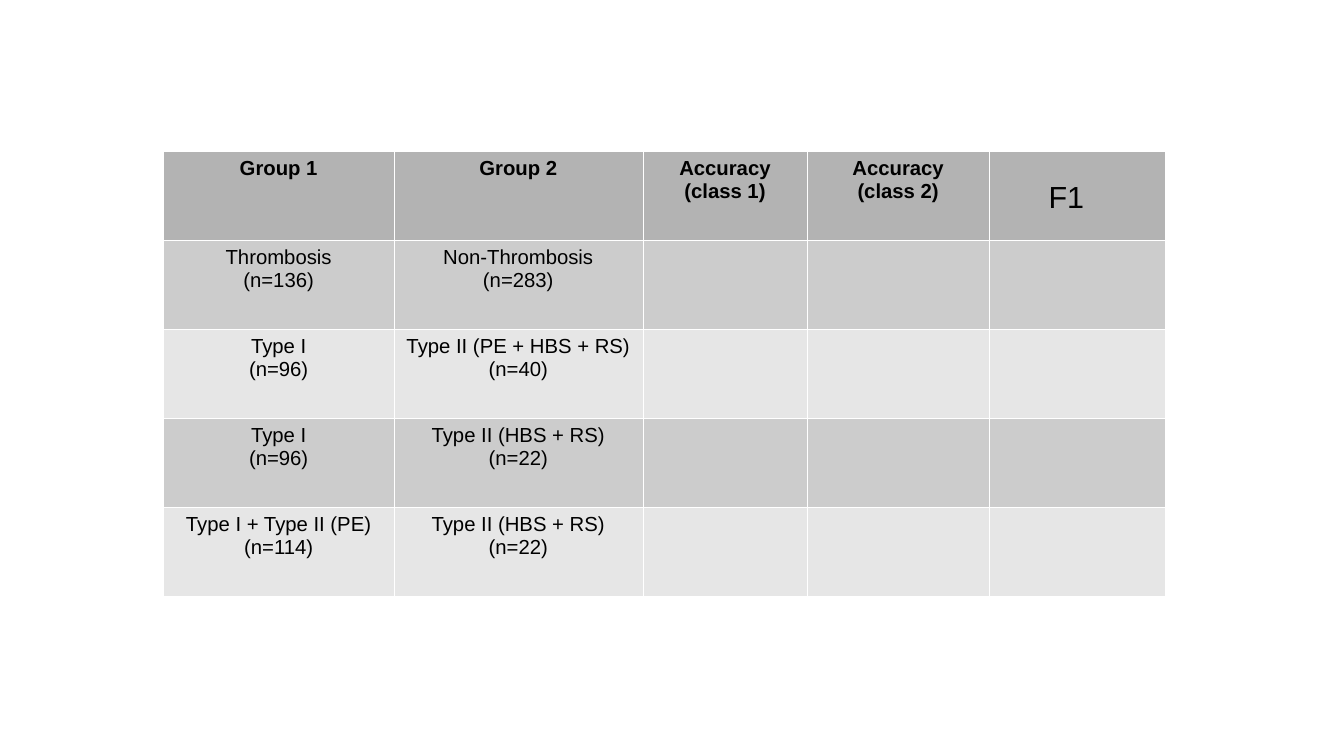
from lxml import etree
from pptx import Presentation
from pptx import util as u
from pptx.dml.color import RGBColor
from pptx.enum import text
from pptx.oxml import ns

COLORS = {
    "header": "B3B3B3",
    "odd": "CCCCCC",
    "even": "E6E6E6",
    "border": "FFFFFF",
    "ink": "000000",
}
COLUMN_WIDTHS = [1.89, 2.04, 1.35, 1.49, 1.44]
ROW_HEIGHT = 0.73
ROWS = [
    ["Group 1", "Group 2", "Accuracy\n(class 1)", "Accuracy\n(class 2)"],
    ["Thrombosis\n(n=136)", "Non-Thrombosis\n(n=283)"],
    ["Type I\n(n=96)", "Type II (PE + HBS + RS)\n(n=40)"],
    ["Type I\n(n=96)", "Type II (HBS + RS)\n(n=22)"],
    ["Type I + Type II (PE)\n(n=114)", "Type II (HBS + RS)\n(n=22)"],
]


def color(name):
    return RGBColor.from_string(COLORS[name])


def style_font(para, size, bold=False):
    para.font.name = "Arial"
    para.font.size = u.Pt(size)
    para.font.bold = bold
    para.font.color.rgb = color("ink")


def add_borders(cell):
    properties = cell._tc.get_or_add_tcPr()
    for side in ("lnL", "lnR", "lnT", "lnB"):
        line = etree.SubElement(properties, ns.qn(f"a:{side}"), w=str(u.Pt(0.06)))
        fill = etree.SubElement(line, ns.qn("a:solidFill"))
        etree.SubElement(fill, ns.qn("a:srgbClr"), val=COLORS["border"])


def fill_cell(cell, words, shade, bold):
    add_borders(cell)
    cell.fill.solid()
    cell.fill.fore_color.rgb = color(shade)
    cell.text = words
    for para in cell.text_frame.paragraphs:
        para.alignment = text.PP_ALIGN.CENTER
        style_font(para, 12, bold)


def add_group_table(page, left, top):
    frame = page.shapes.add_table(
        len(ROWS), len(COLUMN_WIDTHS), u.Inches(left), u.Inches(top),
        u.Inches(sum(COLUMN_WIDTHS)), u.Inches(ROW_HEIGHT * len(ROWS)))
    table = frame.table
    for column, width in zip(table.columns, COLUMN_WIDTHS):
        column.width = u.Inches(width)
    for index, (row, labels) in enumerate(zip(table.rows, ROWS)):
        row.height = u.Inches(ROW_HEIGHT)
        shade = "header" if index == 0 else "odd" if index % 2 else "even"
        padded = labels + [""] * (len(COLUMN_WIDTHS) - len(labels))
        for cell, words in zip(row.cells, padded):
            fill_cell(cell, words, shade, index == 0)


def add_label(page, words, left, top, width, height):
    box = page.shapes.add_textbox(
        u.Inches(left), u.Inches(top), u.Inches(width), u.Inches(height))
    frame = box.text_frame
    frame.word_wrap = False
    frame.auto_size = text.MSO_AUTO_SIZE.SHAPE_TO_FIT_TEXT
    frame.text = words
    style_font(frame.paragraphs[0], 18)


def main():
    deck = Presentation()
    deck.slide_width = u.Inches(11.02)
    deck.slide_height = u.Inches(6.2)
    page = deck.slides.add_slide(deck.slide_layouts[6])
    add_group_table(page, 1.34, 1.24)
    add_label(page, "F1", 8.5, 1.41, 0.49, 0.38)
    deck.save("out.pptx")


if __name__ == "__main__":
    main()
